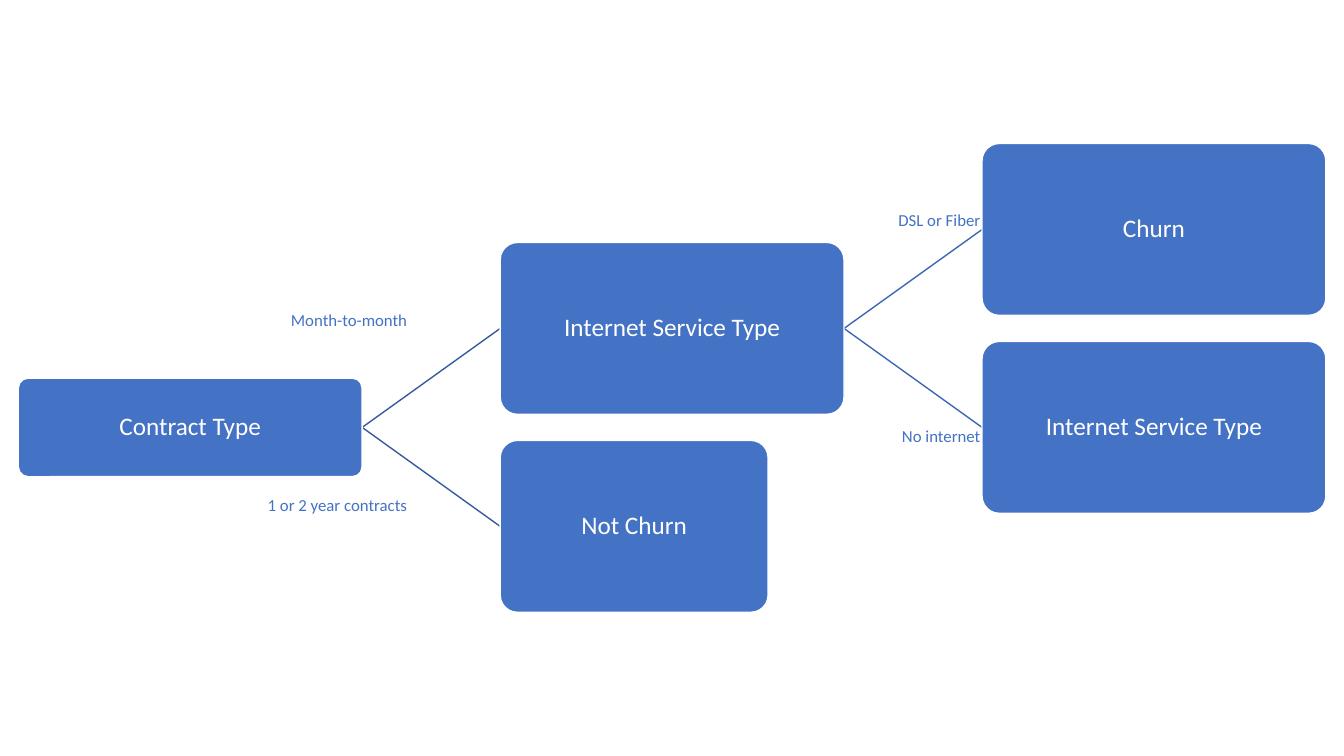
from dataclasses import dataclass

from lxml import etree
from pptx import Presentation
from pptx.dml.color import RGBColor
from pptx.enum.shapes import MSO_CONNECTOR, MSO_SHAPE
from pptx.enum.text import MSO_ANCHOR, MSO_AUTO_SIZE, PP_ALIGN
from pptx.oxml.ns import qn
from pptx.slide import Slide
from pptx.util import Pt

ROUNDED = MSO_SHAPE.ROUNDED_RECTANGLE
STRAIGHT = MSO_CONNECTOR.STRAIGHT
MIDDLE = MSO_ANCHOR.MIDDLE
CENTER = PP_ALIGN.CENTER
RIGHT = PP_ALIGN.RIGHT
FIT_SHAPE = MSO_AUTO_SIZE.SHAPE_TO_FIT_TEXT

BLUE = RGBColor(0x44, 0x72, 0xC4)
WHITE = RGBColor(0xFF, 0xFF, 0xFF)
FIRST_BRANCH = RGBColor(0x36, 0x5B, 0x9D)
SECOND_BRANCH = RGBColor(0x3E, 0x67, 0xB2)

FONT = "Calibri"
TREE_LEFT = 13.1
COLUMN_PITCH = 344.2
ROOT_CENTER = 305.3
LEVEL_STEP = 70.7
NODE_WIDTH = 245.6
NODE_HEIGHT = 122.8
LABEL_HEIGHT = 21.8


@dataclass(frozen=True)
class Node:
    text: str
    column: int
    level: int
    width: float = NODE_WIDTH
    height: float = NODE_HEIGHT

    @property
    def left(self) -> float:
        return TREE_LEFT + self.column * COLUMN_PITCH

    @property
    def center(self) -> float:
        return ROOT_CENTER + self.level * LEVEL_STEP


@dataclass(frozen=True)
class Branch:
    parent: Node
    child: Node
    color: RGBColor


@dataclass(frozen=True)
class Label:
    text: str
    right: float
    top: float
    width: float


CONTRACT = Node("Contract Type", 0, 0, height=70.4)
SERVICE = Node("Internet Service Type", 1, -1)
CHURN = Node("Churn", 2, -2)
NO_SERVICE = Node("Internet Service Type", 2, 0)
NOT_CHURN = Node("Not Churn", 1, 1, width=191.4)

NODES = [CONTRACT, SERVICE, CHURN, NO_SERVICE, NOT_CHURN]
BRANCHES = [
    Branch(CONTRACT, SERVICE, FIRST_BRANCH),
    Branch(CONTRACT, NOT_CHURN, FIRST_BRANCH),
    Branch(SERVICE, CHURN, SECOND_BRANCH),
    Branch(SERVICE, NO_SERVICE, SECOND_BRANCH),
]
LABELS = [
    Label("Month-to-month", 298, 218, 98),
    Label("1 or 2 year contracts", 298, 350, 115.2),
    Label("No internet", 707.4, 300.5, 71.3),
    Label("DSL or Fiber", 707.4, 146.6, 73.4),
]


def draw_branch(slide: Slide, branch: Branch) -> None:
    parent, child = branch.parent, branch.child
    connector = slide.shapes.add_connector(
        STRAIGHT,
        Pt(parent.left + parent.width), Pt(parent.center),
        Pt(child.left), Pt(child.center),
    )
    connector.line.color.rgb = branch.color
    connector.line.width = Pt(1)
    etree.SubElement(connector._element.spPr, qn("a:effectLst"))


def draw_node(slide: Slide, node: Node) -> None:
    shape = slide.shapes.add_shape(
        ROUNDED,
        Pt(node.left), Pt(node.center - node.height / 2),
        Pt(node.width), Pt(node.height),
    )
    shape.adjustments[0] = 0.1
    shape.shadow.inherit = False
    shape.fill.solid()
    shape.fill.fore_color.rgb = BLUE
    shape.line.color.rgb = WHITE
    shape.line.width = Pt(1)
    frame = shape.text_frame
    frame.text = node.text
    frame.word_wrap = True
    frame.vertical_anchor = MIDDLE
    frame.margin_left = frame.margin_right = Pt(1)
    frame.margin_top = frame.margin_bottom = Pt(1)
    paragraph = frame.paragraphs[0]
    paragraph.alignment = CENTER
    paragraph.line_spacing = 0.9
    paragraph.font.name = FONT
    paragraph.font.size = Pt(18)
    paragraph.font.color.rgb = WHITE


def draw_label(slide: Slide, label: Label) -> None:
    box = slide.shapes.add_textbox(
        Pt(label.right - label.width), Pt(label.top),
        Pt(label.width), Pt(LABEL_HEIGHT),
    )
    frame = box.text_frame
    frame.text = label.text
    frame.word_wrap = False
    frame.auto_size = FIT_SHAPE
    paragraph = frame.paragraphs[0]
    paragraph.alignment = RIGHT
    paragraph.font.name = FONT
    paragraph.font.size = Pt(12)
    paragraph.font.color.rgb = BLUE


def main() -> None:
    presentation = Presentation()
    presentation.slide_width = Pt(960)
    presentation.slide_height = Pt(540)
    slide = presentation.slides.add_slide(presentation.slide_layouts[6])
    for branch in BRANCHES:
        draw_branch(slide, branch)
    for node in NODES:
        draw_node(slide, node)
    for label in LABELS:
        draw_label(slide, label)
    presentation.save("out.pptx")


main()
